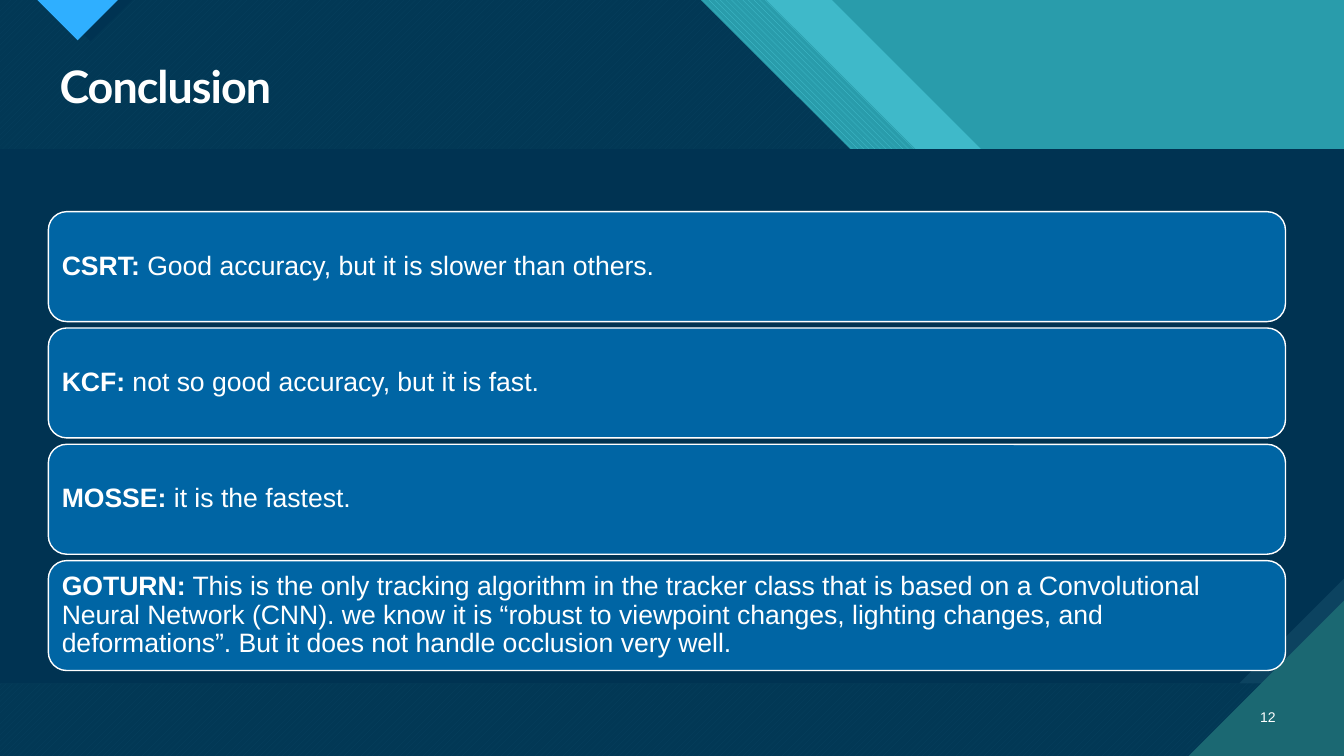
import pptx
import pptx.dml.color
import pptx.enum.dml
import pptx.enum.shapes
import pptx.enum.text
import pptx.oxml
import pptx.oxml.ns
from pptx.util import Inches

# Content
TITLE = "Conclusion"
PAGE_NUMBER = "12"
TRACKERS = [
    ("CSRT:", " Good accuracy, but it is slower than others."),
    ("KCF:", " not so good accuracy, but it is fast."),
    ("MOSSE:", " it is the fastest."),
    ("GOTURN:", " This is the only tracking algorithm in the tracker class that is based on a "
     "Convolutional Neural Network (CNN). we know it is “robust to viewpoint changes, lighting "
     "changes, and deformations”. But it does not handle occlusion very well."),
]

# Layout, in inches
WIDTH, HEIGHT = 13.33, 7.5
HEADER_BOTTOM, PANEL_BOTTOM = 1.48, 6.78
CARD_LEFT, CARD_TOP, CARD_WIDTH, CARD_HEIGHT = 0.48, 2.1, 12.27, 1.09
CARD_PITCH = 1.154

# Palette
WHITE, NAVY, SLATE, CARD_BLUE, ACCENT_BLUE = "FFFFFF", "003352", "0C4360", "0065A4", "2FAFFF"
TEAL, LIGHT_TEAL, BAND_TEAL, DARK_TEAL = "299CAB", "47C3D3", "3FB9C9", "1B6872"


def color(hex_code):
    return pptx.dml.color.RGBColor.from_string(hex_code)


def fill_solid(shape, hex_code, opacity=100):
    shape.fill.solid()
    shape.fill.fore_color.rgb = color(hex_code)
    if opacity < 100:
        color_element = shape.element.spPr.find(".//" + pptx.oxml.ns.qn("a:srgbClr"))
        alpha = pptx.oxml.parse_xml(
            '<a:alpha %s val="%d"/>' % (pptx.oxml.ns.nsdecls("a"), opacity * 1000))
        color_element.append(alpha)


def fill_pattern(shape, pattern, front, back):
    shape.fill.patterned()
    shape.fill.pattern = pattern
    shape.fill.fore_color.rgb = color(front)
    shape.fill.back_color.rgb = color(back)


def add_polygon(slide, points):
    corners = [(Inches(x), Inches(y)) for x, y in points]
    builder = slide.shapes.build_freeform(*corners[0], scale=1.0)
    builder.add_line_segments(corners[1:], close=True)
    shape = builder.convert_to_shape()
    shape.shadow.inherit = False
    shape.line.fill.background()
    return shape


def add_diagonal_area(slide, top_x):
    """Area left of a 45 degree edge that starts at top_x on the top side."""
    return add_polygon(slide, [(0, 0), (top_x, 0), (top_x + HEADER_BOTTOM, HEADER_BOTTOM),
                               (WIDTH, HEADER_BOTTOM), (WIDTH, HEIGHT), (0, HEIGHT)])


def add_panel(slide, snip):
    return add_polygon(slide, [(0, HEADER_BOTTOM), (WIDTH, HEADER_BOTTOM),
                               (WIDTH, PANEL_BOTTOM - snip), (WIDTH - snip, PANEL_BOTTOM),
                               (0, PANEL_BOTTOM)])


def format_run(run, size, font_name="Arial", bold=False):
    run.font.size = pptx.util.Pt(size)
    run.font.name = font_name
    run.font.bold = bold
    run.font.color.rgb = color(WHITE)


def add_background(slide):
    patterns = pptx.enum.dml.MSO_PATTERN
    slide.background.fill.solid()
    slide.background.fill.fore_color.rgb = color(TEAL)

    # Diagonal bands of the header, widest first
    fill_solid(add_diagonal_area(slide, 8.25), BAND_TEAL)
    fill_pattern(add_diagonal_area(slide, 7.6), patterns.WIDE_DOWNWARD_DIAGONAL, LIGHT_TEAL, TEAL)
    fill_pattern(add_diagonal_area(slide, 6.95), patterns.WIDE_UPWARD_DIAGONAL,
                 LIGHT_TEAL, DARK_TEAL)
    fill_solid(add_diagonal_area(slide, 6.95), NAVY, opacity=90)

    # Top marker and its dark edge
    fill_solid(add_polygon(slide, [(0.48, 0), (1.31, 0), (0.9, 0.41)]), NAVY)
    fill_solid(add_polygon(slide, [(0.37, 0), (1.17, 0), (0.77, 0.4)]), ACCENT_BLUE)

    # Body panel with a cut corner, and the corner triangle
    fill_solid(add_panel(slide, 0), SLATE)
    fill_solid(add_panel(slide, 1.04), NAVY)
    fill_solid(add_polygon(slide, [(11.79, HEIGHT), (WIDTH, HEIGHT), (WIDTH, 5.96)]), DARK_TEAL)


def add_title(slide):
    title = slide.shapes.title
    title.left, title.top = Inches(0.49), Inches(0.59)
    title.width, title.height = Inches(12.26), Inches(0.59)
    frame = title.text_frame
    frame.text = TITLE
    frame.vertical_anchor = pptx.enum.text.MSO_ANCHOR.MIDDLE
    paragraph = frame.paragraphs[0]
    paragraph.alignment = pptx.enum.text.PP_ALIGN.LEFT
    paragraph.line_spacing = 0.9
    run = paragraph.runs[0]
    format_run(run, 32, "Lato", bold=True)
    run.font._element.set("spc", "-70")
    # Bring the title in front of the background
    title.element.getparent().append(title.element)


def add_page_number(slide):
    box = slide.shapes.add_textbox(Inches(12.31), Inches(6.91), Inches(0.44), Inches(0.4))
    frame = box.text_frame
    frame.word_wrap = True
    frame.text = PAGE_NUMBER
    frame.vertical_anchor = pptx.enum.text.MSO_ANCHOR.MIDDLE
    paragraph = frame.paragraphs[0]
    paragraph.alignment = pptx.enum.text.PP_ALIGN.RIGHT
    format_run(paragraph.runs[0], 10)


def add_card(slide, index, name, verdict):
    card = slide.shapes.add_shape(
        pptx.enum.shapes.MSO_SHAPE.ROUNDED_RECTANGLE, Inches(CARD_LEFT),
        Inches(CARD_TOP + index * CARD_PITCH), Inches(CARD_WIDTH), Inches(CARD_HEIGHT))
    card.shadow.inherit = False
    fill_solid(card, CARD_BLUE)
    card.line.color.rgb = color(WHITE)
    card.line.width = pptx.util.Pt(1)
    frame = card.text_frame
    frame.word_wrap = True
    frame.vertical_anchor = pptx.enum.text.MSO_ANCHOR.MIDDLE
    frame.margin_left = frame.margin_right = Inches(0.08)
    frame.margin_top = frame.margin_bottom = Inches(0.08)
    paragraph = frame.paragraphs[0]
    paragraph.alignment = pptx.enum.text.PP_ALIGN.LEFT
    paragraph.line_spacing = 0.9
    for text, bold in ((name, True), (verdict, False)):
        run = paragraph.add_run()
        run.text = text
        format_run(run, 19, bold=bold)


def main():
    presentation = pptx.Presentation()
    presentation.slide_width, presentation.slide_height = Inches(WIDTH), Inches(HEIGHT)
    slide = presentation.slides.add_slide(presentation.slide_layouts[5])
    add_background(slide)
    add_title(slide)
    add_page_number(slide)
    for index, (name, verdict) in enumerate(TRACKERS):
        add_card(slide, index, name, verdict)
    presentation.save("out.pptx")


if __name__ == "__main__":
    main()
